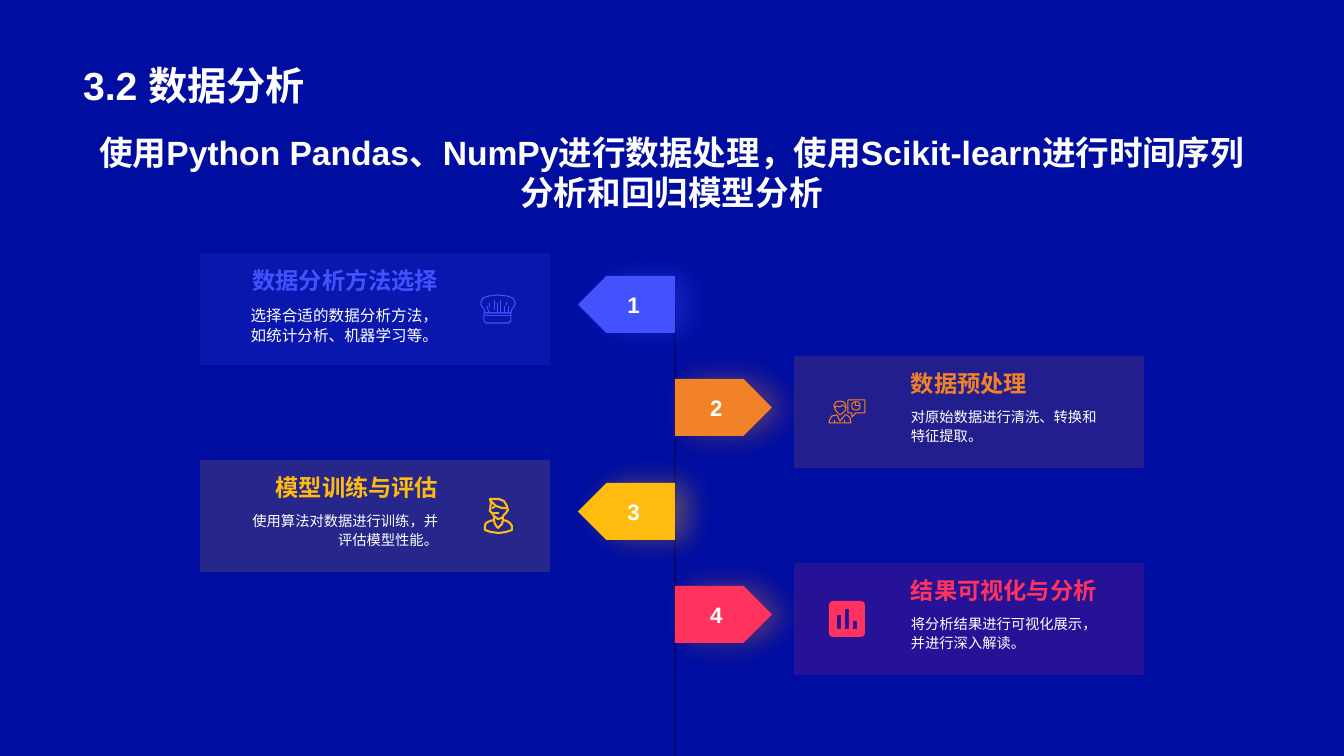
"""Build the data analysis slide with four numbered steps."""
import dataclasses
import math

import pptx
import pptx.dml.color
import pptx.enum.shapes
import pptx.enum.text
import pptx.oxml
import pptx.oxml.ns
import pptx.util

SCALE = 914400 / 100.8
ALIGN = pptx.enum.text.PP_ALIGN
ANCHOR = pptx.enum.text.MSO_ANCHOR
SHAPE = pptx.enum.shapes.MSO_SHAPE


@dataclasses.dataclass(frozen=True)
class Theme:
    """Colours, type sizes and font of the slide."""
    font: str = "Arial"
    background: str = "000DA1"
    text: str = "FFFFFF"
    axis: str = "000000"
    blue: str = "4352FF"
    orange: str = "F18228"
    yellow: str = "FFBB0E"
    red: str = "FF335D"
    title: float = 28
    subtitle: float = 24
    number: float = 16
    heading: float = 16.6
    lead: float = 11.1
    body: float = 10.2


@dataclasses.dataclass(frozen=True)
class Icon:
    """Contours in px inside a width by height field; stroke 0 means filled."""
    width: int
    height: int
    stroke: float
    closed: tuple
    lines: tuple = ()


@dataclasses.dataclass(frozen=True)
class Step:
    """One numbered step of the timeline."""
    heading: str
    detail: str
    color: str
    glow: str
    size: float
    icon: Icon


THEME = Theme()


def px(length):
    """Turn px into EMU."""
    return pptx.util.Emu(round(length * SCALE))


def rgb(color):
    """Turn a hex string into a colour."""
    return pptx.dml.color.RGBColor.from_string(color)


def block(left, top, right, bottom):
    """Return the corners of a rectangle."""
    return (left, top), (left, bottom), (right, bottom), (right, top)


def ring(x, y, radius, count=16):
    """Return the points of a circle."""
    angles = [2 * math.pi * i / count for i in range(count)]
    return tuple((x + radius * math.cos(a), y + radius * math.sin(a)) for a in angles)


HAT = Icon(36, 28, 0.75, (
    ((5, 18), (4, 14), (1, 10), (1, 7), (3, 3), (9, 1), (18, 0), (27, 1),
     (33, 3), (35, 7), (35, 10), (32, 14), (31, 18)),
    ((4, 18), (31, 18), (31, 26), (29, 28), (6, 28), (4, 26)),
), (
    ((5, 21), (31, 21)), ((7, 11), (9, 18)), ((9, 8), (10, 12)), ((15, 5), (15, 15)),
    ((18, 8), (18, 18)), ((21, 5), (21, 18)), ((25, 11), (25, 18)),
    ((27, 7), (26, 10)), ((29, 11), (28, 18)),
))
ANALYST = Icon(36, 24, 0.75, (
    ((6, 9), (5, 5), (7, 2), (11, 1), (15, 2), (17, 5), (17, 9), (15, 12), (11, 15), (8, 12)),
    ((8, 15), (3, 16), (1, 19), (0, 23), (22, 23), (21, 18), (18, 15), (16, 15), (11, 21)),
    ((19, 0), (36, 0), (36, 13), (27, 13), (23, 17), (23, 13), (19, 13)),
    ring(27, 6, 4),
), (
    ((6, 8), (7, 6), (11, 7), (14, 5), (17, 8)), ((6, 20), (6, 23)), ((16, 20), (16, 23)),
    ((27, 2), (27, 6), (31, 6)),
))
ADVISER = Icon(29, 36, 1.5, (
    ((6, 1), (15, 1), (20, 3), (23, 8), (24, 12), (22, 15), (20, 17), (18, 20),
     (14, 21), (10, 18), (8, 15), (6, 13), (7, 5)),
    ((10, 22), (6, 23), (2, 25), (1, 28), (1, 32), (7, 34), (15, 35), (22, 34),
     (28, 32), (28, 28), (26, 25), (23, 23), (19, 22), (18, 26), (14, 30), (11, 26)),
), (
    ((7, 3), (12, 8), (18, 10), (23, 10)), ((8, 10), (11, 9)),
    ((9, 15), (15, 15)), ((10, 18), (10, 23)), ((19, 18), (19, 23)),
))
CHART = Icon(36, 36, 0, (
    ((4, 0), (32, 0), (35, 1), (36, 4), (36, 32), (35, 35), (32, 36), (4, 36),
     (1, 35), (0, 32), (0, 4), (1, 1)),
    block(8, 14, 12, 28), block(16, 8, 20, 28), block(24, 20, 28, 28),
))
STEPS = (
    Step("数据分析方法选择", "选择合适的数据分析方法，如统计分析、机器学习等。",
         THEME.blue, THEME.blue, THEME.lead, HAT),
    Step("数据预处理", "对原始数据进行清洗、转换和特征提取。",
         THEME.orange, THEME.orange, THEME.body, ANALYST),
    Step("模型训练与评估", "使用算法对数据进行训练，并评估模型性能。",
         THEME.yellow, THEME.yellow, THEME.body, ADVISER),
    Step("结果可视化与分析", "将分析结果进行可视化展示，并进行深入解读。",
         THEME.red, THEME.orange, THEME.body, CHART),
)


def write(frame, text, size, color=THEME.text, bold=False, align=ALIGN.LEFT,
          anchor=ANCHOR.TOP, spacing=1.0):
    """Put one formatted paragraph into a text frame."""
    frame.word_wrap = True
    frame.auto_size = pptx.enum.text.MSO_AUTO_SIZE.NONE
    frame.vertical_anchor = anchor
    para = frame.paragraphs[0]
    para.alignment = align
    para.line_spacing = spacing
    span = para.add_run()
    span.text = text
    span.font.size = pptx.util.Pt(size)
    span.font.bold = bold
    span.font.name = THEME.font
    span.font.color.rgb = rgb(color)
    east = pptx.oxml.parse_xml(
        f'<a:ea {pptx.oxml.ns.nsdecls("a")} typeface="{THEME.font}"/>')
    span.font._element.find(pptx.oxml.ns.qn("a:latin")).addnext(east)


def add_text(page, area, text, **style):
    """Add a text box."""
    box = page.shapes.add_textbox(*map(px, area))
    write(box.text_frame, text, **style)


def set_alpha(shape, percent):
    """Make the colour of a shape or line translucent."""
    color = next(shape._element.spPr.iter(pptx.oxml.ns.qn("a:srgbClr")))
    color.append(pptx.oxml.parse_xml(
        f'<a:alpha {pptx.oxml.ns.nsdecls("a")} val="{percent * 1000}"/>'))


def add_effects(shape, content=""):
    """Replace the inherited effects by the given ones."""
    shape._element.spPr.append(pptx.oxml.parse_xml(
        f'<a:effectLst {pptx.oxml.ns.nsdecls("a")}>{content}</a:effectLst>'))


def add_block(page, kind, area, color):
    """Add a filled preset shape without outline."""
    shape = page.shapes.add_shape(kind, *map(px, area))
    shape.fill.solid()
    shape.fill.fore_color.rgb = rgb(color)
    shape.line.fill.background()
    return shape


def add_card(page, left, top, color):
    """Add the translucent panel of a step."""
    card = add_block(page, SHAPE.RECTANGLE, (left, top, 350, 112), color)
    card.shadow.inherit = False
    set_alpha(card, 15)


def add_arrow(page, left, top, number, step, flipped):
    """Add a numbered pentagon with a coloured glow."""
    arrow = add_block(page, SHAPE.PENTAGON, (left, top, 97, 57), step.color)
    if flipped:
        arrow._element.spPr.xfrm.set("flipH", "1")
    add_effects(arrow, '<a:outerShdw blurRad="254000" dist="127000" dir="0">'
                f'<a:srgbClr val="{step.glow}"><a:alpha val="32000"/></a:srgbClr>'
                '</a:outerShdw>')
    frame = arrow.text_frame
    frame.margin_left = frame.margin_right = frame.margin_top = frame.margin_bottom = 0
    write(frame, str(number), size=THEME.number, bold=True,
          align=ALIGN.CENTER, anchor=ANCHOR.MIDDLE)


def add_icon(page, center, middle, icon, color):
    """Draw the contours of an icon around a centre point."""
    contours = [(points, True) for points in icon.closed]
    contours += [(points, False) for points in icon.lines]
    builder = page.shapes.build_freeform(*contours[0][0][0], scale=SCALE)
    for points, close in contours:
        builder.move_to(*points[0])
        builder.add_line_segments(points[1:], close=close)
    shape = builder.convert_to_shape(px(center - icon.width // 2), px(middle - icon.height // 2))
    shape.shadow.inherit = False
    if icon.stroke:
        shape.fill.background()
        shape.line.color.rgb = rgb(color)
        shape.line.width = pptx.util.Pt(icon.stroke)
    else:
        shape.fill.solid()
        shape.fill.fore_color.rgb = rgb(color)
        shape.line.fill.background()


def add_axis(page):
    """Add the vertical line of the timeline."""
    axis = page.shapes.add_connector(
        pptx.enum.shapes.MSO_CONNECTOR.STRAIGHT, px(675), px(304), px(675), px(756))
    axis.line.color.rgb = rgb(THEME.axis)
    axis.line.width = pptx.util.Pt(1)
    set_alpha(axis, 50)
    add_effects(axis)


def add_step(page, index, step):
    """Add a step, on the left for even and on the right for odd indexes."""
    on_left = index % 2 == 0
    top = 253 + round(index * 310 / 3)
    card, arrow, text, icon = (200, 578, 233, 498) if on_left else (794, 675, 901, 847)
    align = ALIGN.RIGHT if on_left else ALIGN.LEFT
    add_card(page, card, top, step.color)
    add_arrow(page, arrow, top + 23, index + 1, step, on_left)
    add_text(page, (text, top + 9, 215, 37), step.heading, size=THEME.heading,
             color=step.color, bold=True, align=align, anchor=ANCHOR.BOTTOM)
    add_text(page, (text, top + 46, 215, 51), step.detail, size=step.size,
             align=align, spacing=1.1)
    add_icon(page, icon, top + 56, step.icon, step.color)


def main():
    """Build and save the deck."""
    deck = pptx.Presentation()
    deck.slide_width, deck.slide_height = px(1344), px(756)
    page = deck.slides.add_slide(deck.slide_layouts[5])
    page.background.fill.solid()
    page.background.fill.fore_color.rgb = rgb(THEME.background)
    title = page.shapes.title
    title.left, title.top, title.width, title.height = map(px, (73, 14, 1197, 99))
    write(title.text_frame, "3.2 数据分析", size=THEME.title, bold=True, anchor=ANCHOR.BOTTOM)
    add_text(page, (73, 127, 1197, 71),
             "使用Python Pandas、NumPy进行数据处理，使用Scikit-learn进行时间序列分析和回归模型分析",
             size=THEME.subtitle, bold=True, align=ALIGN.CENTER)
    add_axis(page)
    for index, step in enumerate(STEPS):
        add_step(page, index, step)
    deck.save("out.pptx")


if __name__ == "__main__":
    main()
